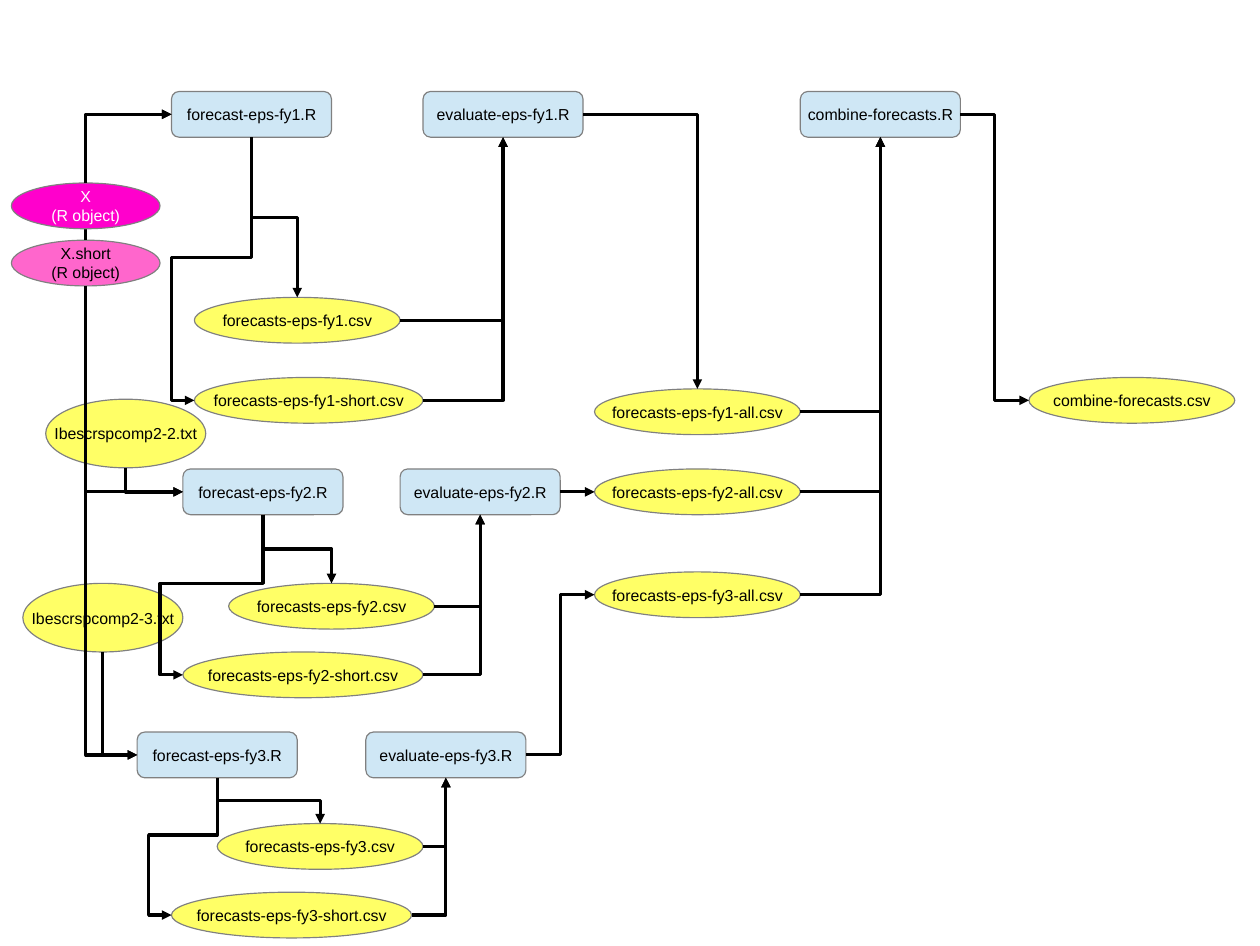
from lxml import etree
from pptx import Presentation
from pptx import util as u
from pptx.dml.color import RGBColor
from pptx.enum import shapes, text
from pptx.oxml.ns import qn

PX = 9144  # EMU; 100 px to the inch
BLACK = RGBColor(0x00, 0x00, 0x00)
WHITE = RGBColor(0xFF, 0xFF, 0xFF)
GREY = RGBColor(0x80, 0x80, 0x80)
BLUE = RGBColor(0xCF, 0xE7, 0xF5)
YELLOW = RGBColor(0xFF, 0xFF, 0x66)
MAGENTA = RGBColor(0xFF, 0x00, 0xCC)
PINK = RGBColor(0xFF, 0x66, 0xCC)

SCRIPT = shapes.MSO_SHAPE.FLOWCHART_ALTERNATE_PROCESS
DATA = shapes.MSO_SHAPE.FLOWCHART_CONNECTOR
SIDES = ["top", "left", "bottom", "right"]

presentation = Presentation()
presentation.slide_width = 1102 * PX
presentation.slide_height = 827 * PX
slide = presentation.slides.add_slide(presentation.slide_layouts[6])


def add_node(label, kind, left, top, width, height=40, fill=YELLOW, color=BLACK):
    shape = slide.shapes.add_shape(kind, left * PX, top * PX, width * PX, height * PX)
    shape.shadow.inherit = False
    shape.fill.solid()
    shape.fill.fore_color.rgb = fill
    shape.line.color.rgb = GREY
    shape.line.width = u.Pt(0)
    frame = shape.text_frame
    frame.text = label
    frame.word_wrap = False
    frame.vertical_anchor = text.MSO_ANCHOR.MIDDLE
    for paragraph in frame.paragraphs:
        paragraph.alignment = text.PP_ALIGN.CENTER
        paragraph.font.name = "Arial"
        paragraph.font.size = u.Pt(10)
        paragraph.font.color.rgb = color
    return shape


def add_arrow(source, leave, target, enter, preset="bentConnector2", drop=None, lane=None):
    """Glue an arrow to two sides; drop and lane place the bends of a four-part route."""
    ends = []
    for shape, side in ((source, leave), (target, enter)):
        across = {"left": 0, "right": 2}.get(side, 1)
        down = {"top": 0, "bottom": 2}.get(side, 1)
        ends.append((shape.left + shape.width * across // 2,
                     shape.top + shape.height * down // 2))
    (x1, y1), (x2, y2) = ends
    turned = leave in ("top", "bottom")
    span_x, span_y = (y2 - y1, x1 - x2) if turned else (x2 - x1, y2 - y1)
    begin_x, begin_y = (x1 + x2 - span_x) // 2, (y1 + y2 - span_y) // 2
    connector = slide.shapes.add_connector(
        shapes.MSO_CONNECTOR.ELBOW, begin_x, begin_y, begin_x + span_x, begin_y + span_y)
    connector.line.color.rgb = BLACK
    connector.line.width = u.Pt(0)

    element = connector._element
    properties = element.spPr
    if turned:
        properties.find(qn("a:xfrm")).set("rot", "5400000")
    geometry = properties.find(qn("a:prstGeom"))
    geometry.set("prst", preset)
    if lane is not None:
        bends = drop * PX / (y2 - y1), (x1 - lane * PX) / (x1 - x2)
        for number, bend in enumerate(bends, 1):
            etree.SubElement(geometry.find(qn("a:avLst")), qn("a:gd"),
                             name=f"adj{number}", fmla=f"val {round(bend * 100000)}")
    etree.SubElement(properties.find(qn("a:ln")), qn("a:tailEnd"), type="triangle")
    etree.SubElement(properties, qn("a:effectLst"))

    glue = element.nvCxnSpPr.cNvCxnSpPr
    for tag, shape, side in (("a:stCxn", source, leave), ("a:endCxn", target, enter)):
        sites_per_side = 2 if shape.auto_shape_type == DATA else 1
        etree.SubElement(glue, qn(tag), id=str(shape.shape_id),
                         idx=str(SIDES.index(side) * sites_per_side))


# Input data and final combination
ibes3 = add_node("Ibescrspcomp2-3.txt", DATA, 20, 510, 140, 60)
ibes2 = add_node("Ibescrspcomp2-2.txt", DATA, 40, 349, 140, 60)
x_short = add_node("X.short\n(R object)", DATA, 10, 210, 130, fill=PINK)
combine = add_node("combine-forecasts.R", SCRIPT, 700, 80, 140, fill=BLUE)
combined = add_node("combine-forecasts.csv", DATA, 900, 330, 180)

# Per year: script row, forecast left, evaluate left, csv left and top,
# short csv left, top and width, all csv top, drop of the short branch
years = {
    1: (80, 150, 370, 170, 260, 170, 330, 200, 340, 105),
    2: (410, 160, 350, 200, 510, 160, 570, 210, 410, 60),
    3: (640, 120, 320, 190, 720, 150, 780, 210, 500, 50),
}
forecast, evaluate, all_csv = {}, {}, {}
for year, (row, forecast_left, evaluate_left, csv_left, csv_top,
           short_left, short_top, short_width, all_top, drop) in years.items():
    forecast[year] = add_node(f"forecast-eps-fy{year}.R", SCRIPT, forecast_left, row, 140, fill=BLUE)
    evaluate[year] = add_node(f"evaluate-eps-fy{year}.R", SCRIPT, evaluate_left, row, 140, fill=BLUE)
    csv = add_node(f"forecasts-eps-fy{year}.csv", DATA, csv_left, csv_top, 180)
    short_csv = add_node(f"forecasts-eps-fy{year}-short.csv", DATA, short_left, short_top, short_width)
    all_csv[year] = add_node(f"forecasts-eps-fy{year}-all.csv", DATA, 520, all_top, 180)

    add_arrow(forecast[year], "bottom", csv, "top", "bentConnector3")
    add_arrow(forecast[year], "bottom", short_csv, "left", "bentConnector4",
              drop, short_left - 20)
    for result in (csv, short_csv):
        add_arrow(result, "right", evaluate[year], "bottom")
    add_arrow(all_csv[year], "right", combine, "bottom")

# X covers the line that rises from X.short
add_arrow(x_short, "top", forecast[1], "left")
x_full = add_node("X\n(R object)", DATA, 10, 160, 130, fill=MAGENTA, color=WHITE)
add_arrow(x_full, "top", forecast[1], "left")
for source, year in ((x_short, 2), (x_short, 3), (ibes2, 2), (ibes3, 3)):
    add_arrow(source, "bottom", forecast[year], "left")

add_arrow(evaluate[1], "right", all_csv[1], "top")
add_arrow(evaluate[2], "right", all_csv[2], "left", "straightConnector1")
add_arrow(evaluate[3], "right", all_csv[3], "left", "bentConnector3")
add_arrow(combine, "right", combined, "left", "bentConnector3")

presentation.save("out.pptx")
